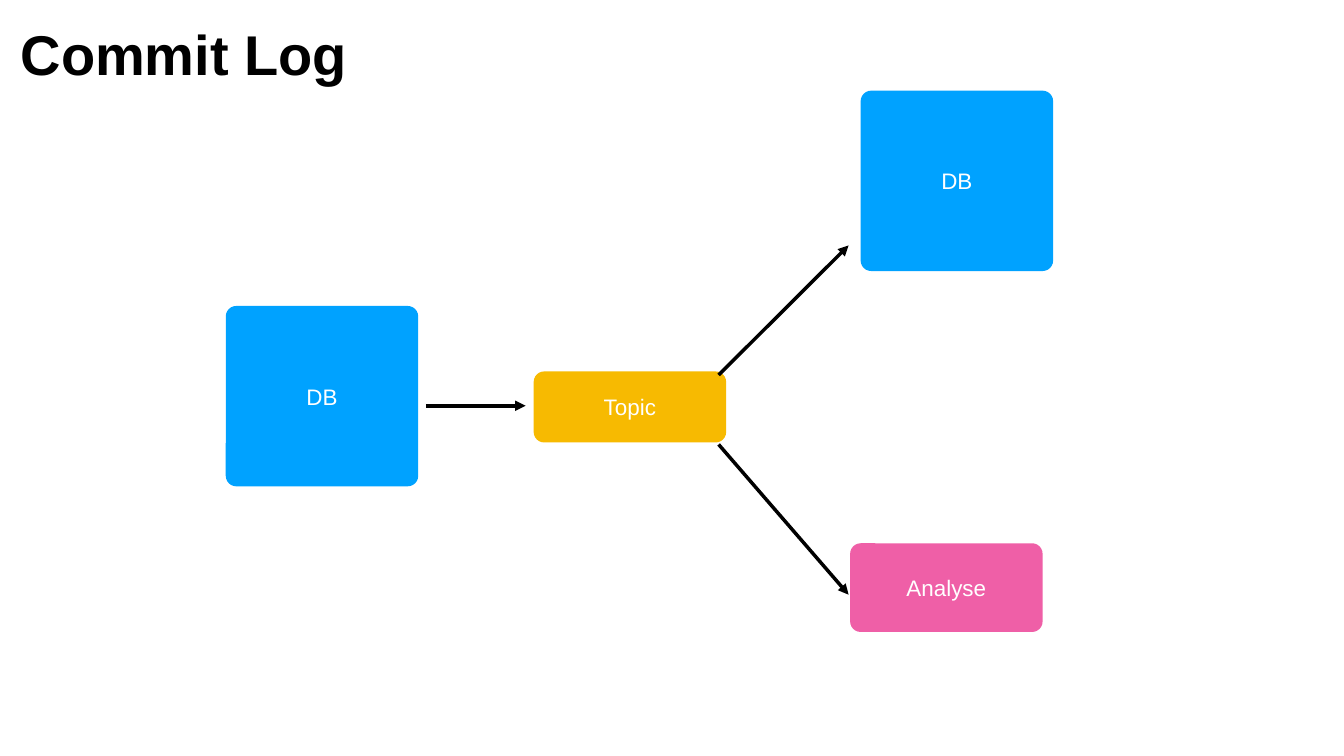
from lxml.etree import SubElement
from pptx import Presentation
from pptx.dml.color import RGBColor
from pptx.enum.shapes import MSO_CONNECTOR, MSO_SHAPE
from pptx.enum.text import MSO_ANCHOR, PP_ALIGN
from pptx.oxml.ns import qn
from pptx.util import Cm, Pt

COLORS = {"db": "00A2FF", "topic": "F7BA01", "analyse": "EF5FA7",
          "line": "000000", "title": "000000", "label": "FFFFFF"}
FONT = "Arial"
TITLE = "Commit Log"
BOX_WIDTH = 9.7
CORNER_RADIUS = 0.53

# label, colour, left, top, height (cm)
BOXES = [
    ("DB", "db", 11.38, 15.42, 9.09),
    ("Topic", "topic", 26.9, 18.72, 3.58),
    ("DB", "db", 43.38, 4.57, 9.09),
    ("Analyse", "analyse", 42.85, 27.38, 4.47),
]
# start x, start y, end x, end y (cm)
ARROWS = [
    (21.46, 20.45, 26.49, 20.45),
    (36.22, 18.9, 42.77, 12.37),
    (36.22, 22.4, 42.77, 29.97),
]


def rgb(name):
    return RGBColor.from_string(COLORS[name])


def set_text(sp, text, size, color, inset=0, bold=False, wrap=True):
    tf = sp.text_frame
    tf.text = text
    tf.word_wrap = wrap
    tf.vertical_anchor = MSO_ANCHOR.MIDDLE
    tf.margin_left = tf.margin_right = Cm(inset)
    tf.margin_top = tf.margin_bottom = Cm(inset)
    p = tf.paragraphs[0]
    p.alignment = PP_ALIGN.CENTER
    p.font.name, p.font.size, p.font.bold = FONT, Pt(size), bold
    p.font.color.rgb = rgb(color)


def add_box(s, label, color, left, top, height):
    sp = s.shapes.add_shape(MSO_SHAPE.ROUNDED_RECTANGLE,
                            Cm(left), Cm(top), Cm(BOX_WIDTH), Cm(height))
    sp.adjustments[0] = CORNER_RADIUS / min(BOX_WIDTH, height)
    sp.shadow.inherit = False
    sp.fill.solid()
    sp.fill.fore_color.rgb = rgb(color)
    sp.line.fill.background()
    set_text(sp, label, 32, "label")


def add_arrow(s, *ends):
    line = s.shapes.add_connector(MSO_CONNECTOR.STRAIGHT, *map(Cm, ends))
    line.line.color.rgb = rgb("line")
    line.line.width = Pt(5)
    SubElement(line.line._get_or_add_ln(), qn("a:tailEnd"), type="triangle")
    SubElement(line._element.spPr, qn("a:effectLst"))


prs = Presentation()
prs.slide_width, prs.slide_height = Cm(67.74), Cm(38.1)
s = prs.slides.add_slide(prs.slide_layouts[5])

for box in BOXES:
    add_box(s, *box)
for arrow in ARROWS:
    add_arrow(s, *arrow)

title = s.shapes.title
title.left, title.top, title.width, title.height = map(Cm, (0.84, 0.84, 16.87, 3.63))
set_text(title, TITLE, 80, "title", inset=0.15, bold=True, wrap=False)

prs.save("out.pptx")
